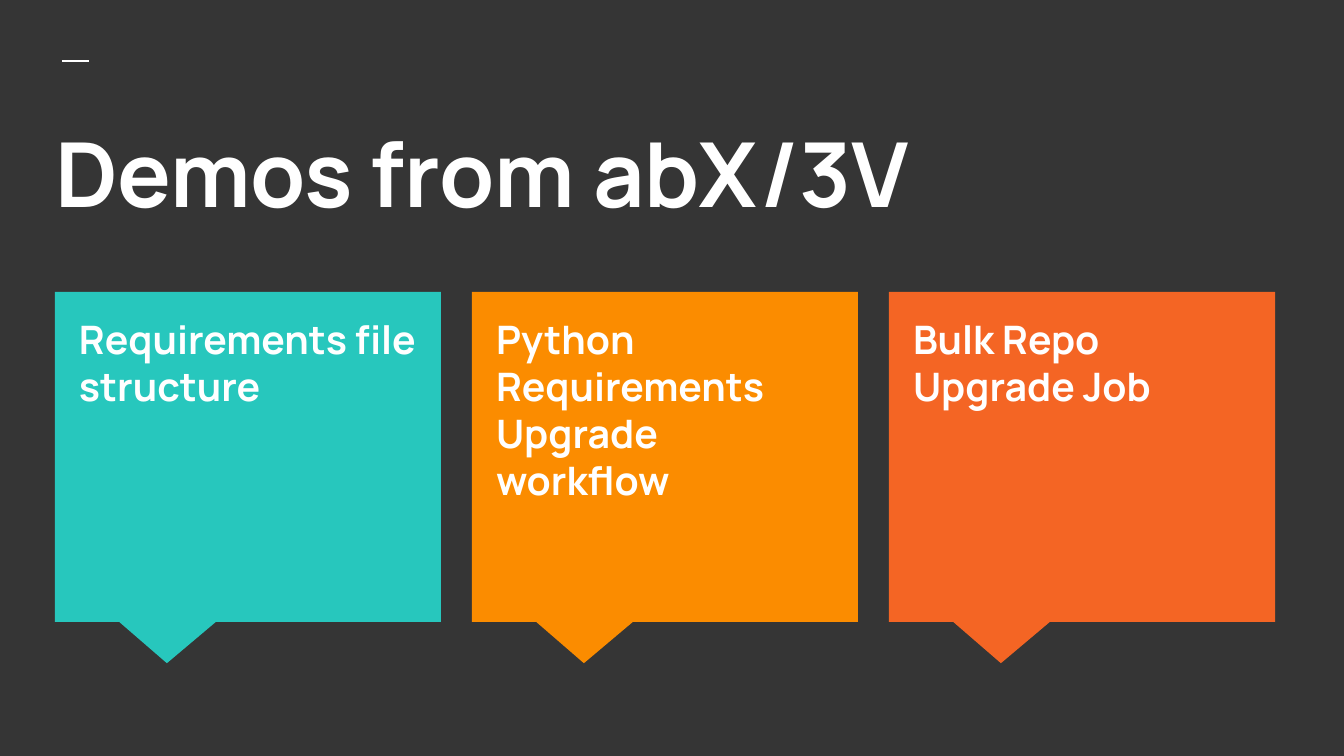
from pptx import Presentation
from pptx.dml.color import RGBColor
from pptx.enum.shapes import MSO_CONNECTOR, MSO_SHAPE
from pptx.enum.text import MSO_ANCHOR, MSO_AUTO_SIZE, PP_ALIGN
from pptx.oxml.ns import qn
from pptx.util import Emu, Pt

WHITE = "FFFFFF"
CARD_STEP = 417
CARDS = [
    ("Requirements file structure", "27C7BD"),
    ("Python Requirements Upgrade workflow", "FB8C00"),
    ("Bulk Repo Upgrade Job", "F46524"),
]


def px(n):
    """Turn pixels into EMU."""
    return Emu(round(n * 9144000 / 1344))


def rgb(value):
    """Turn a hex string into a colour."""
    return RGBColor.from_string(value)


def set_text(s, text, size, space_after=0):
    """Write bold white text at the top left of a shape."""
    tf = s.text_frame
    tf.text = text
    tf.word_wrap = True
    tf.auto_size = MSO_AUTO_SIZE.NONE
    tf.vertical_anchor = MSO_ANCHOR.TOP
    tf.margin_left = tf.margin_right = tf.margin_top = tf.margin_bottom = px(13)
    p = tf.paragraphs[0]
    p.alignment = PP_ALIGN.LEFT
    p.space_before = Pt(0)
    p.space_after = Pt(space_after)
    p.font.name = "Manrope"
    p.font.size = Pt(size)
    p.font.bold = True
    p.font.color.rgb = rgb(WHITE)


def add_accent(slide):
    """Draw the short rule above the title."""
    s = slide.shapes.add_connector(MSO_CONNECTOR.STRAIGHT, px(62), px(61), px(89), px(61))
    s.line.color.rgb = rgb(WHITE)
    s.line.width = Pt(1.5)
    s._element.spPr.append(s._element.makeelement(qn("a:effectLst"), {}))


def set_title(slide, text):
    """Place and fill the title placeholder."""
    s = slide.shapes.title
    s.left, s.top, s.width, s.height = px(42), px(105), px(1267), px(151)
    set_text(s, text, 48)


def add_card(slide, left, text, fill):
    """Draw a callout with its text box."""
    s = slide.shapes.add_shape(
        MSO_SHAPE.RECTANGULAR_CALLOUT, px(left), px(292), px(386), px(330)
    )
    s.adjustments[0], s.adjustments[1] = -0.21, 0.625
    s.shadow.inherit = False
    s.fill.solid()
    s.fill.fore_color.rgb = rgb(fill)
    s.line.fill.background()
    box = slide.shapes.add_textbox(px(left + 11), px(302), px(366), px(294))
    set_text(box, text, 21, space_after=12)


def main():
    """Build and save the slide."""
    prs = Presentation()
    prs.slide_width, prs.slide_height = px(1344), px(756)
    slide = prs.slides.add_slide(prs.slide_layouts[5])
    slide.background.fill.solid()
    slide.background.fill.fore_color.rgb = rgb("353535")
    add_accent(slide)
    set_title(slide, "Demos from abX/3V")
    for i, (text, fill) in enumerate(CARDS):
        add_card(slide, 55 + i * CARD_STEP, text, fill)
    prs.save("out.pptx")


if __name__ == "__main__":
    main()
